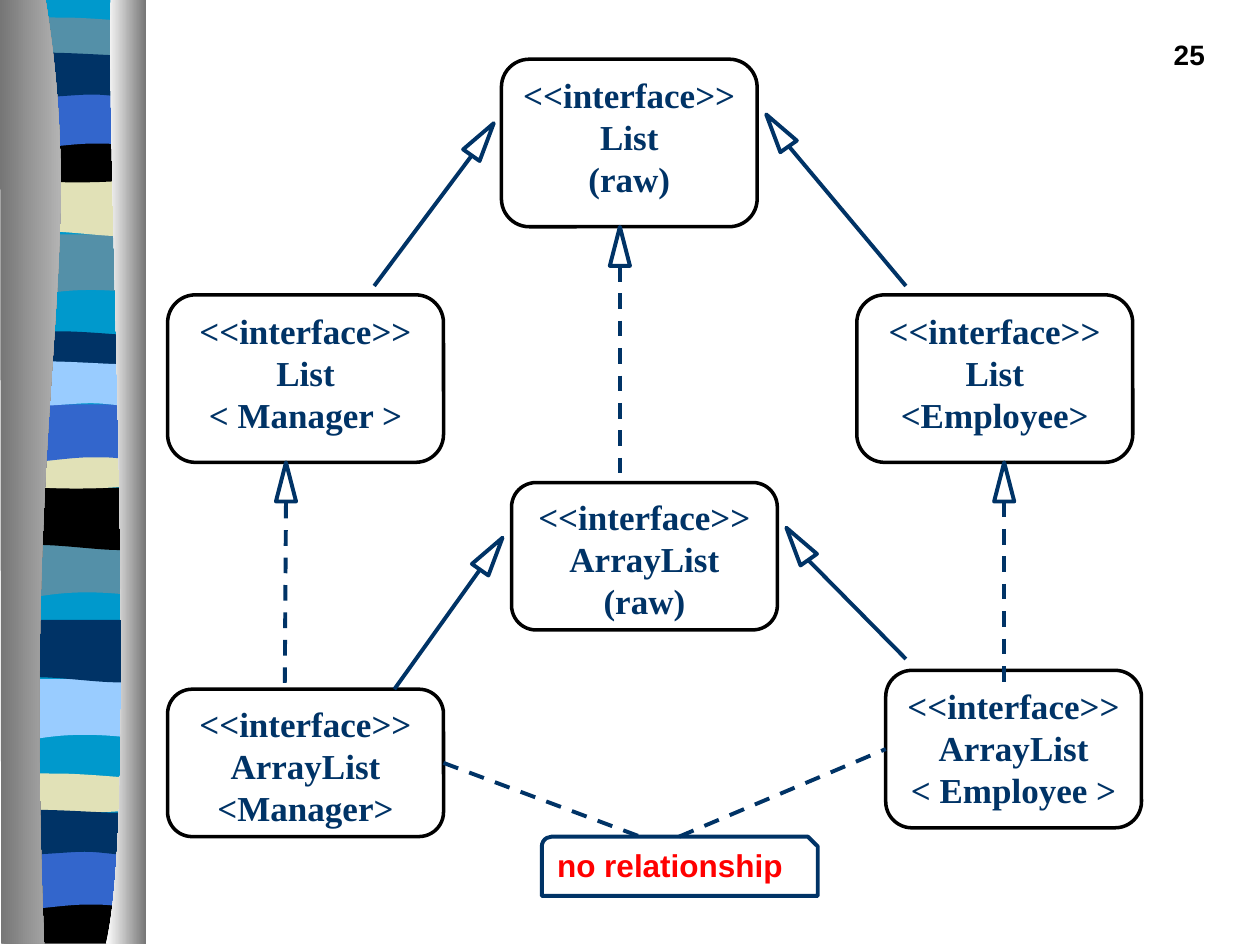
from dataclasses import dataclass

from lxml.etree import SubElement
from pptx import Presentation
from pptx.dml.color import RGBColor
from pptx.enum.dml import MSO_LINE
from pptx.enum.shapes import MSO_CONNECTOR, MSO_SHAPE
from pptx.enum.text import MSO_ANCHOR, PP_ALIGN
from pptx.oxml.ns import qn
from pptx.util import Inches, Pt


@dataclass(frozen=True)
class Theme:
    navy: str = "003366"
    steel: str = "5490A8"
    cyan: str = "0099CC"
    blue: str = "3366CC"
    sky: str = "99CCFF"
    sand: str = "E1E1B7"
    black: str = "000000"
    white: str = "FFFFFF"
    red: str = "FF0000"
    grey: str = "767676"
    silver: str = "D2D2D2"
    serif: str = "Times New Roman"
    sans: str = "Arial"
    number_size: float = 16
    type_size: float = 20
    note_size: float = 18
    box_line: float = 2
    arrow_line: float = 2.25


THEME = Theme()

# Band outlines from their own top left corner: 2 numbers are a point, 6 a curve
BAND_OUTLINES = {
    "wedge": [(1.03, 0), (1.03, 0.47), (0.32, 0.38, 0.17, 0.54, 0, 0.47), (0, 0)],
    "sag": [(1.03, 0), (1.03, 0.47), (0.86, 0.55, 0.32, 0.41, 0, 0.47), (0, 0)],
    "slat": [(1.03, 0.05), (1.03, 0.29), (0.86, 0.33, 0.17, 0.33, 0, 0.29), (0, 0.05),
             (0.07, 0, 0.23, 0.01, 0.4, 0.01), (0.57, 0.01, 0.9, 0.04, 1.03, 0.05)],
    "dip": [(1.03, 0), (1.03, 0.33), (0.86, 0.38, 0.17, 0.38, 0, 0.33), (0, 0),
            (0.63, 0.05, 0.81, 0, 1.03, 0)],
    "arch": [(1.03, 0), (1.03, 0.47), (0.87, 0.42, 0.81, 0.42, 0.63, 0.42),
             (0.46, 0.42, 0.16, 0.47, 0, 0.47), (0, 0)],
    "ripple": [(1.03, 0.05), (1.03, 0.36), (0.97, 0.41, 0.81, 0.36, 0.63, 0.36),
               (0.46, 0.36, 0.11, 0.41, 0, 0.36), (0, 0.05),
               (0.15, 0, 0.7, 0.05, 0.87, 0.05), (1.04, 0.05, 1, 0.05, 1.03, 0.05)],
    "base": [(1.03, 0), (1.03, 0.37), (0, 0.37), (0, 0), (0.63, 0.05, 0.81, 0, 1.03, 0)],
    "ground": [(1.03, 0), (1.03, 7.48), (0, 7.48), (0, 0)],
}
BANDS = [
    ("ground", THEME.cyan, 0.1, -0.01),
    ("wedge", THEME.steel, 0.1, 1.86), ("sag", THEME.sand, 0.12, 1.38),
    ("slat", THEME.steel, 0.12, 0.13), ("dip", THEME.black, 0.1, 1.08),
    ("arch", THEME.blue, 0.1, 0.72), ("ripple", THEME.navy, 0.1, 0.39),
    ("wedge", THEME.steel, 0.07, 4.26), ("sag", THEME.black, 0.09, 3.87),
    ("slat", THEME.navy, 0.09, 2.62), ("dip", THEME.sand, 0.09, 3.51),
    ("arch", THEME.blue, 0.09, 3.21), ("ripple", THEME.sky, 0.09, 2.84),
    ("wedge", THEME.sky, 0.05, 5.39), ("sag", THEME.navy, 0.08, 4.92),
    ("slat", THEME.sand, 0.07, 6.13), ("base", THEME.black, 0.07, 7.12),
    ("arch", THEME.blue, 0.05, 6.76), ("ripple", THEME.navy, 0.04, 6.4),
]
LEFT_PILLAR = [(0.36, -0.01), (0.71, 2.16, 0.17, 2.96, 0.35, 7.49), (0.01, 7.49), (0, -0.01)]
RIGHT_PILLAR = [(0.88, -0.01), (0.84, 1.25, 1.11, 6.46, 0.84, 7.49), (1.16, 7.49), (1.16, 0)]


def rgb(code):
    return RGBColor.from_string(code)


def write_text(shape, text, *, font, size, color, align=PP_ALIGN.LEFT):
    frame = shape.text_frame
    frame.word_wrap = True
    frame.vertical_anchor = MSO_ANCHOR.TOP
    frame.text = text
    for paragraph in frame.paragraphs:
        paragraph.alignment = align
        for run in paragraph.runs:
            run.font.name = font
            run.font.size = Pt(size)
            run.font.bold = True
            run.font.color.rgb = rgb(color)


class Diagram:
    def __init__(self, slide, theme):
        self.shapes = slide.shapes
        self.theme = theme

    def outline(self, parts, left=0, top=0):
        points = [(Inches(left + part[i]), Inches(top + part[i + 1]))
                  for part in parts for i in range(0, len(part), 2)]
        builder = self.shapes.build_freeform(*points[0])
        builder.add_line_segments(points[1:], close=True)
        shape = builder.convert_to_shape()
        # Three straight steps in a row become one curve
        steps = iter(list(shape._element.iter(qn("a:lnTo"))))
        for part in parts[1:]:
            first = next(steps)
            if len(part) == 6:
                first.tag = qn("a:cubicBezTo")
                for _ in range(2):
                    step = next(steps)
                    first.append(step[0])
                    step.getparent().remove(step)
        shape.shadow.inherit = False
        shape.line.fill.background()
        return shape

    def band(self, kind, color, left, top):
        fill = self.outline(BAND_OUTLINES[kind], left, top).fill
        fill.solid()
        fill.fore_color.rgb = rgb(color)

    def pillar(self, parts, *colors):
        fill = self.outline(parts).fill
        fill.gradient()
        fill.gradient_angle = 0
        for stop, color in zip(fill.gradient_stops, colors):
            stop.color.rgb = rgb(color)

    def preset(self, kind, box, color, weight, fill=None):
        shape = self.shapes.add_shape(kind, *map(Inches, box))
        shape.shadow.inherit = False
        if fill:
            shape.fill.solid()
            shape.fill.fore_color.rgb = rgb(fill)
        else:
            shape.fill.background()
        shape.line.color.rgb = rgb(color)
        shape.line.width = Pt(weight)
        return shape

    def type_box(self, name, argument, *box):
        theme = self.theme
        shape = self.preset(MSO_SHAPE.ROUNDED_RECTANGLE, box, theme.black,
                            theme.box_line, theme.white)
        write_text(shape, f"<<interface>>\n{name}\n{argument}", font=theme.serif,
                   size=theme.type_size, color=theme.navy, align=PP_ALIGN.CENTER)
        return shape

    def arrowhead(self, left, top, angle=0):
        head = self.preset(MSO_SHAPE.ISOSCELES_TRIANGLE, (left, top, 0.16, 0.31),
                           self.theme.navy, self.theme.arrow_line)
        head.rotation = angle

    def line(self, start, end, dashed=False):
        link = self.shapes.add_connector(MSO_CONNECTOR.STRAIGHT,
                                         *map(Inches, (*start, *end)))
        link.line.color.rgb = rgb(self.theme.navy)
        link.line.width = Pt(self.theme.arrow_line)
        if dashed:
            link.line.dash_style = MSO_LINE.DASH
        SubElement(link._element.spPr, qn("a:effectLst"))
        return link

    def note(self, text, *box):
        theme = self.theme
        shape = self.preset(MSO_SHAPE.SNIP_ROUND_RECTANGLE, box, theme.navy, theme.arrow_line)
        write_text(shape, text, font=theme.sans, size=theme.note_size, color=theme.red)

    def page_number(self, text, *box):
        theme = self.theme
        write_text(self.shapes.add_textbox(*map(Inches, box)), text, font=theme.sans,
                   size=theme.number_size, color=theme.black, align=PP_ALIGN.RIGHT)


def main():
    deck = Presentation()
    deck.slide_width, deck.slide_height = Inches(10), Inches(7.5)
    diagram = Diagram(deck.slides.add_slide(deck.slide_layouts[6]), THEME)

    # Striped ribbon between two pillars
    for band in BANDS:
        diagram.band(*band)
    diagram.pillar(LEFT_PILLAR, THEME.grey, THEME.silver)
    diagram.pillar(RIGHT_PILLAR, THEME.white, THEME.grey)
    diagram.page_number("25", 7.58, 0.25, 2.08, 0.5)

    # Types
    diagram.type_box("List", "(raw)", 3.98, 0.47, 2.03, 1.33)
    diagram.type_box("List", "< Manager >", 1.33, 2.34, 2.19, 1.33)
    diagram.type_box("List", "<Employee>", 6.8, 2.34, 2.19, 1.33)
    diagram.type_box("ArrayList", "(raw)", 4.06, 3.83, 2.11, 1.17)
    manager_array = diagram.type_box("ArrayList", "<Manager>", 1.33, 5.47, 2.19, 1.17)
    employee_array = diagram.type_box("ArrayList", "< Employee >", 7.03, 5.32, 2.03, 1.25)

    # Inheritance (solid) and implementation (dashed): head, angle, line, dashed
    for head, angle, start, end, dashed in [
        ((3.75, 0.95), 35, (3.74, 1.24), (2.97, 2.27), False),
        ((6.09, 0.88), 325, (6.26, 1.16), (7.19, 2.27), False),
        ((3.82, 4.24), 35, (3.13, 5.47), (3.81, 4.52), False),
        ((6.25, 4.16), 325, (6.41, 4.44), (7.19, 5.23), False),
        ((4.84, 1.8), 0, (4.92, 2.11), (4.92, 3.75), True),
        ((2.19, 3.67), 0, (2.27, 3.99), (2.26, 5.47), True),
        ((7.89, 3.67), 0, (7.97, 3.98), (7.97, 5.47), True),
    ]:
        diagram.arrowhead(*head, angle)
        diagram.line(start, end, dashed)

    # Unrelated pair
    diagram.note("no relationship", 4.3, 6.64, 2.19, 0.47)
    diagram.line((3.52, 6.06), (5.08, 6.64), True).begin_connect(manager_array, 3)
    diagram.line((5.39, 6.64), (7.03, 5.95), True).end_connect(employee_array, 1)

    deck.save("out.pptx")


if __name__ == "__main__":
    main()
